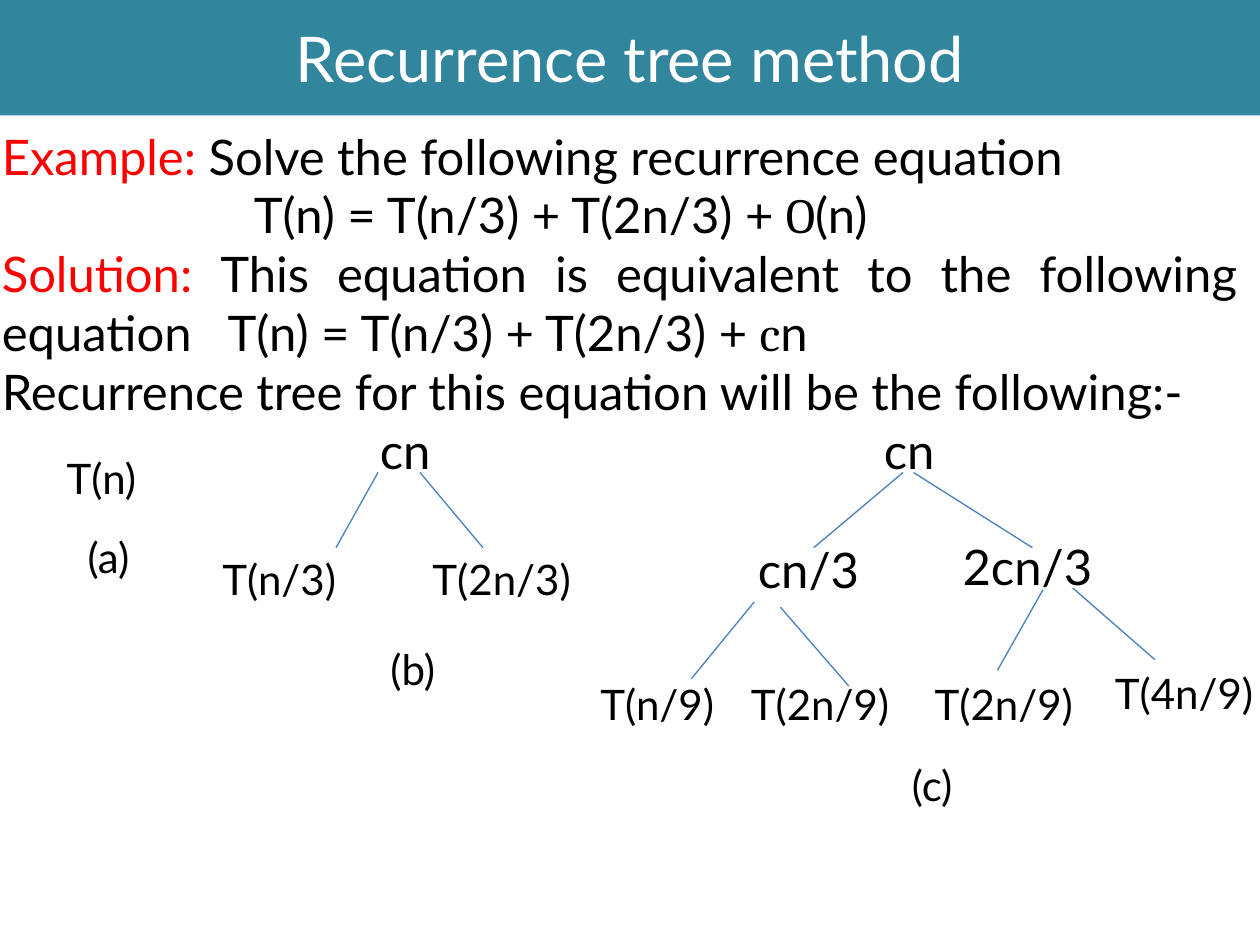
from lxml.etree import SubElement
from pptx import Presentation
from pptx.dml.color import RGBColor
from pptx.enum.shapes import MSO_CONNECTOR, MSO_SHAPE
from pptx.enum.text import MSO_ANCHOR, MSO_AUTO_SIZE, PP_ALIGN
from pptx.oxml.ns import qn
from pptx.util import Pt

TEAL = RGBColor(0x31, 0x85, 0x9C)
BLUE = RGBColor(0x4B, 0x7E, 0xBC)
RED = RGBColor(0xFF, 0, 0)
BLACK = RGBColor(0, 0, 0)
WHITE = RGBColor(0xFF, 0xFF, 0xFF)
SANS, SERIF = "Lato", "Cambria"

BODY = [
    ([], [("Example: ", RED, SANS),
          ("Solve the following recurrence equation", BLACK, SANS)]),
    ([144], [("\tT(n) = T(n/3) + T(2n/3) + ", BLACK, SANS),
             ("O", BLACK, SERIF), ("(n)", BLACK, SANS)]),
    ([129], [("Solution: ", RED, SANS),
             ("This equation is equivalent to the following equation"
              "\tT(n) = T(n/3) + T(2n/3) + ", BLACK, SANS),
             ("c", BLACK, SERIF), ("n", BLACK, SANS)]),
    ([], [("Recurrence tree for this equation will be the following:-",
           BLACK, SANS)]),
    ([216, 504], [("\tcn\tcn", BLACK, SANS)]),
]

EDGES = [
    (216, 270, 192, 313), (240, 270, 276, 313),
    (516, 270, 465, 313), (522, 270, 590, 313),
    (431, 344, 395, 388), (446, 347, 485, 392),
    (596, 337, 570, 383), (613, 336, 660, 377),
]

NODES = [
    ("T(n)", 31, 255, 66, 24),
    ("T(n/3)", 120, 313, 108, 24),
    ("T(2n/3)", 240, 313, 132, 24),
    ("cn/3", 426, 304.5, 79, 28),
    ("2cn/3", 543, 303, 94, 28),
    ("T(n/9)", 336, 384, 103, 24),
    ("T(2n/9)", 422, 384, 117, 24),
    ("T(2n/9)", 527, 384, 109, 24),
    ("T(4n/9)", 630, 378, 103, 24),
    ("(a)", 43, 300, 42, 24),
    ("(b)", 216, 364, 42, 24),
    ("(c)", 514, 430.5, 42, 24),
]


class Board:
    def __init__(self, slide):
        self.slide = slide

    def style(self, run, size, color=BLACK, face=SANS):
        run.font.size = Pt(size)
        run.font.name = face
        run.font.color.rgb = color

    def title(self, text, width, height):
        bar = self.slide.shapes.add_shape(
            MSO_SHAPE.RECTANGLE, Pt(0), Pt(0), Pt(width), Pt(height))
        bar.shadow.inherit = False
        bar.fill.solid()
        bar.fill.fore_color.rgb = TEAL
        bar.line.fill.background()
        frame = bar.text_frame
        frame.text = text
        frame.vertical_anchor = MSO_ANCHOR.MIDDLE
        para = frame.paragraphs[0]
        para.alignment = PP_ALIGN.CENTER
        self.style(para.runs[0], 36, WHITE)

    def box(self, left, top, width, height):
        box = self.slide.shapes.add_textbox(
            Pt(left), Pt(top), Pt(width), Pt(height))
        frame = box.text_frame
        frame.word_wrap = True
        frame.auto_size = MSO_AUTO_SIZE.SHAPE_TO_FIT_TEXT
        return frame

    def label(self, text, left, top, width, size):
        frame = self.box(left, top, width, size * 1.2 + 7.2)
        frame.text = text
        self.style(frame.paragraphs[0].runs[0], size)

    def body(self, lines, left, top, width, height):
        frame = self.box(left, top, width, height)
        frame.text = "\n".join(parts[0][0] for _, parts in lines)
        for para, (stops, parts) in zip(frame.paragraphs, lines):
            para.alignment = PP_ALIGN.JUSTIFY
            self.tabs(para, stops)
            for text, _, _ in parts[1:]:
                para.add_run().text = text
            for run, (_, color, face) in zip(para.runs, parts):
                self.style(run, 28, color, face)

    def tabs(self, para, stops):
        if stops:
            group = SubElement(para._p.get_or_add_pPr(), qn("a:tabLst"))
            for stop in stops:
                SubElement(group, qn("a:tab"), pos=str(Pt(stop)), algn="l")

    def edge(self, *ends):
        line = self.slide.shapes.add_connector(
            MSO_CONNECTOR.STRAIGHT, *map(Pt, ends))
        line.line.color.rgb = BLUE
        line.line.width = Pt(0.75)
        SubElement(line._element.spPr, qn("a:effectLst"))


def main():
    deck = Presentation()
    deck.slide_width, deck.slide_height = Pt(720), Pt(540)
    board = Board(deck.slides.add_slide(deck.slide_layouts[6]))
    board.title("Recurrence tree method", 720, 66)
    board.body(BODY, -6, 68.5, 720, 245)
    for edge in EDGES:
        board.edge(*edge)
    for node in NODES:
        board.label(*node)
    deck.save("out.pptx")


if __name__ == "__main__":
    main()
